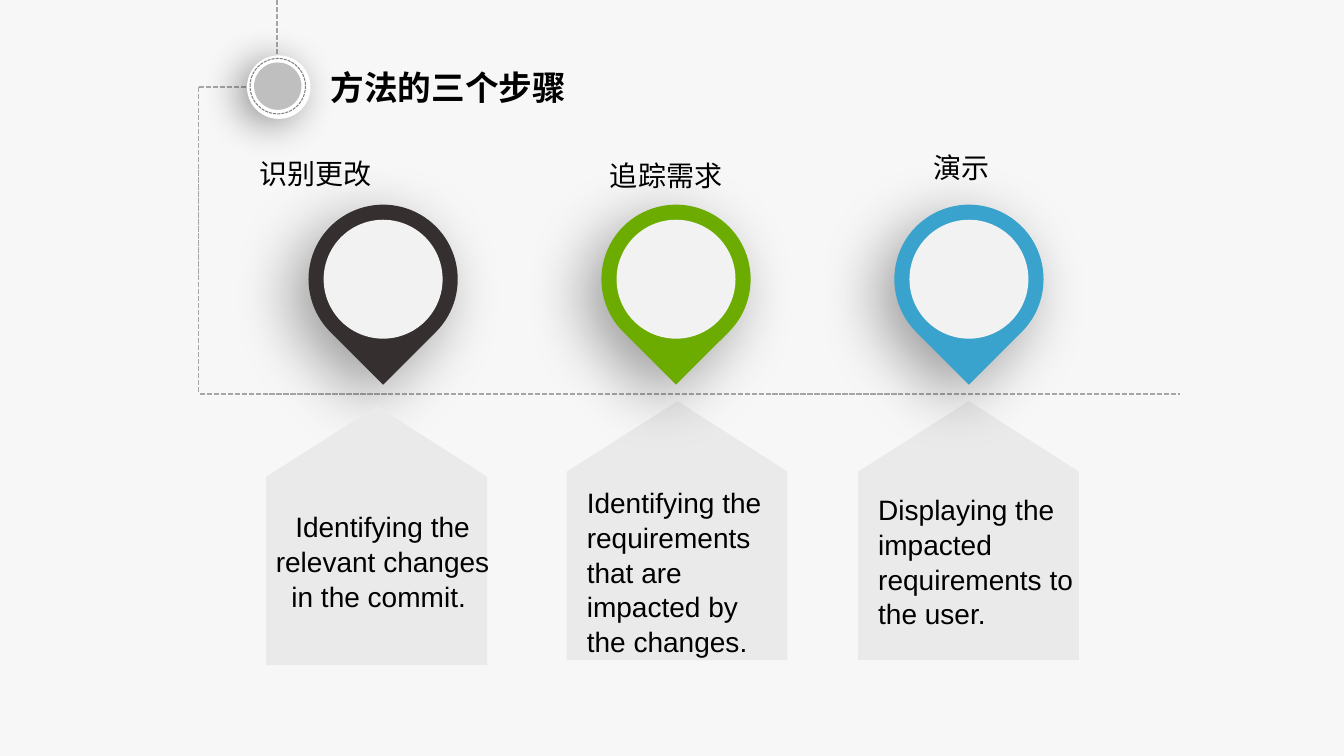
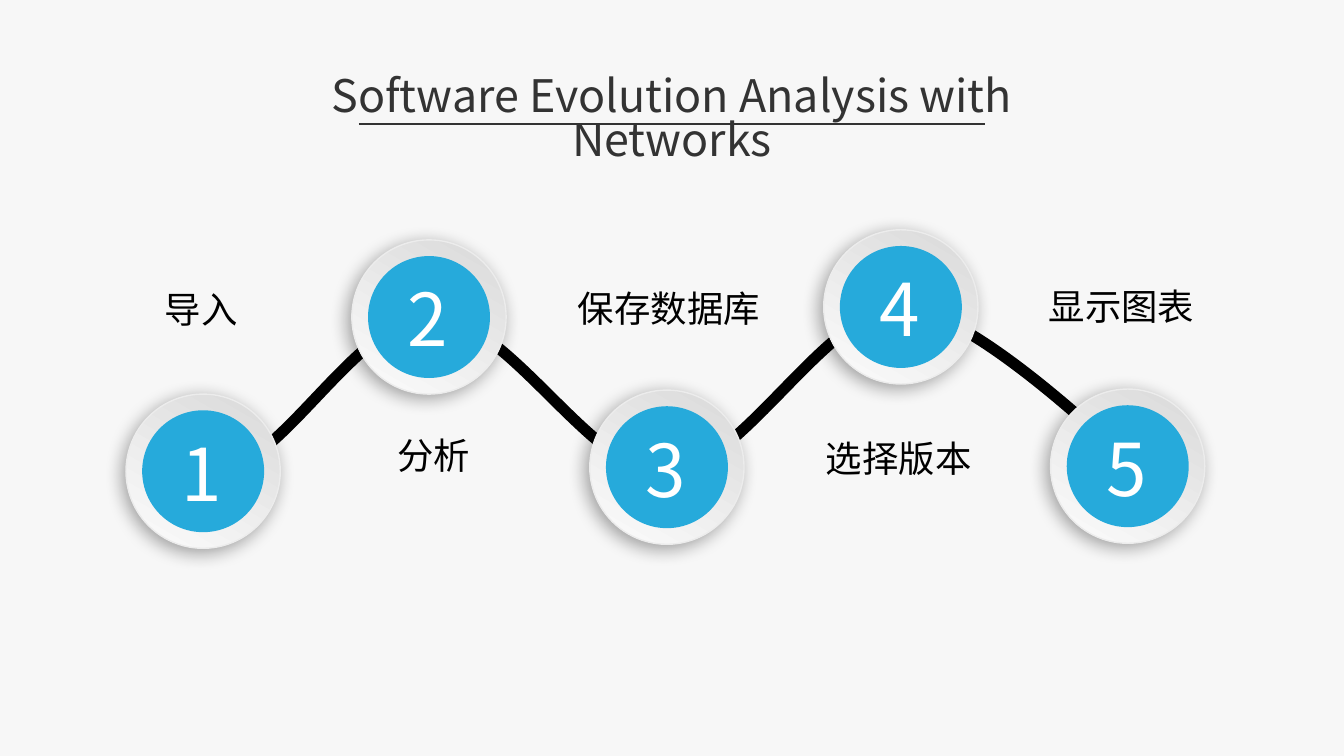
from dataclasses import dataclass

from lxml import etree
from pptx import Presentation
from pptx.dml.color import RGBColor
from pptx.enum.dml import MSO_LINE
from pptx.enum.shapes import MSO_CONNECTOR, MSO_SHAPE
from pptx.enum.text import MSO_ANCHOR, MSO_AUTO_SIZE, PP_ALIGN
from pptx.oxml.ns import qn
from pptx.util import Inches, Pt

OVAL, TEAR = MSO_SHAPE.OVAL, MSO_SHAPE.TEAR
STRAIGHT = MSO_CONNECTOR.STRAIGHT
DASHED = MSO_LINE.SQUARE_DOT
LEFT, CENTER = PP_ALIGN.LEFT, PP_ALIGN.CENTER
TOP, MIDDLE = MSO_ANCHOR.TOP, MSO_ANCHOR.MIDDLE
FIXED_SIZE = MSO_AUTO_SIZE.NONE
TITLE_ONLY = 5


@dataclass(frozen=True)
class Theme:
    page: str = "F7F7F7"
    black: str = "000000"
    white: str = "FFFFFF"
    heading: str = "333333"
    guide: str = "A6A6A6"
    ring: str = "808080"
    knob: str = "BFBFBF"
    window: str = "F2F2F2"
    house: str = "EAEAEA"
    rim: str = "ECECEC"
    rim_dark: str = "D9D9D9"
    rim_light: str = "FCFCFC"
    disc: str = "26AADB"
    latin: str = "Arial"
    cjk: str = "Noto Sans CJK SC"
    body_size: int = 20
    method_title_size: int = 24
    label_size: int = 26
    title_size: int = 32
    number_size: int = 52


THEME = Theme()

# pin colour, label, label box, house corner, text, text box, alignment
STEPS = [
    ("352F2F", "识别更改", (2.52, 1.5, 3.54, 0.44), (2.64, 4.03),
     "Identifying the relevant changes in the commit. ",
     (2.7, 5.04, 2.19, 0.95), CENTER),
    ("6CAC00", "追踪需求", (6, 1.52, 1.22, 0.44), (5.62, 3.98),
     "Identifying the requirements that are impacted by the changes.",
     (5.82, 4.8, 1.92, 1.59), LEFT),
    ("39A3CD", "演示", (9.21, 1.44, 0.66, 0.44), (8.51, 3.98),
     "Displaying the impacted requirements to the user.",
     (8.71, 4.87, 1.98, 1.27), LEFT),
]

# badge corner, label, label corner
STAGES = [
    ((1.25, 3.91), "导入", (0.69, 2.78)),
    ((3.49, 2.38), "分析", (3, 4.23)),
    ((5.85, 3.87), "保存数据库", (5.33, 2.77)),
    ((8.17, 2.28), "选择版本", (7.61, 4.26)),
    ((10.42, 3.86), "显示图表", (9.82, 2.75)),
]

# start point, then two control points and an end point for each curve
WAVE = [
    (2.09, 4.69),
    (2.77, 4.7), (3.53, 3.14), (4.28, 3.14),
    (5.03, 3.14), (5.86, 4.69), (6.59, 4.7),
    (7.34, 4.68), (8.19, 3.06), (8.93, 3.05),
    (9.65, 3.05), (11.21, 4.61), (11.21, 4.59),
]


def rgb(color):
    return RGBColor.from_string(color)


def paint(shape, fill=None, line=None, width=1):
    """Set fill and outline (None means none) and drop the theme shadow."""
    shape.shadow.inherit = False
    if fill:
        shape.fill.solid()
        shape.fill.fore_color.rgb = rgb(fill)
    else:
        shape.fill.background()
    if line:
        shape.line.color.rgb = rgb(line)
        shape.line.width = Pt(width)
    else:
        shape.line.fill.background()


def cast_shadow(shape, alpha, blur, distance, angle):
    effects = shape.element.spPr.find(qn("a:effectLst"))
    outer = etree.SubElement(
        effects, qn("a:outerShdw"), blurRad=str(Pt(blur)), dist=str(Pt(distance)),
        dir=str(angle * 60000), algn="ctr", rotWithShape="0")
    color = etree.SubElement(outer, qn("a:srgbClr"), val=THEME.black)
    etree.SubElement(color, qn("a:alpha"), val=str(alpha * 1000))


def add_circle(shapes, left, top, size, fill=None, line=None, width=1, kind=OVAL):
    circle = shapes.add_shape(kind, *map(Inches, (left, top, size, size)))
    paint(circle, fill, line, width)
    return circle


def add_line(slide, start, end, color, width, dash=None):
    line = slide.shapes.add_connector(STRAIGHT, *map(Inches, (*start, *end)))
    line.line.color.rgb = rgb(color)
    line.line.width = Pt(width)
    if dash:
        line.line.dash_style = dash
    etree.SubElement(line.element.spPr, qn("a:effectLst"))


def write(shape, text, size, color=THEME.black, font=THEME.cjk, bold=False, align=LEFT,
          anchor=TOP, inset=0.05, wrap=True, spacing=None):
    frame = shape.text_frame
    frame.text = text
    frame.auto_size = FIXED_SIZE
    frame.word_wrap = wrap
    frame.vertical_anchor = anchor
    frame.margin_left = frame.margin_right = Inches(inset)
    frame.margin_top = frame.margin_bottom = Inches(inset)
    para = frame.paragraphs[0]
    para.alignment = align
    para.line_spacing = spacing
    span = para.runs[0]
    span.font.size = Pt(size)
    span.font.bold = bold
    span.font.name = font
    span.font.color.rgb = rgb(color)
    etree.SubElement(span.font._element, qn("a:ea"), typeface=THEME.cjk)


def add_text(shapes, place, text, size, **style):
    box = shapes.add_textbox(*map(Inches, place))
    write(box, text, size, **style)


def add_page(deck, title, place, size, **style):
    """Add a slide whose title placeholder is moved to place."""
    slide = deck.slides.add_slide(deck.slide_layouts[TITLE_ONLY])
    heading = slide.shapes.title
    heading.left, heading.top, heading.width, heading.height = map(Inches, place)
    write(heading, title, size, anchor=MIDDLE, **style)
    return slide


def add_outline(slide, points, close):
    start, *rest = [tuple(map(Inches, point)) for point in points]
    builder = slide.shapes.build_freeform(*start)
    builder.add_line_segments(rest, close=close)
    return builder.convert_to_shape()


def add_medallion(slide):
    shapes = slide.shapes.add_group_shape().shapes
    plate = add_circle(shapes, 2.45, 0.55, 0.63, THEME.white)
    cast_shadow(plate, 40, 28, 8, 150)
    add_circle(shapes, 2.52, 0.62, 0.47, THEME.knob)
    ring = add_circle(shapes, 2.48, 0.58, 0.55, line=THEME.ring, width=0.75)
    ring.line.dash_style = DASHED


def add_pin(slide, index, color):
    left, top = 3.06 + 2.905 * index, 2.03
    shapes = slide.shapes.add_group_shape().shapes
    drop = add_circle(shapes, left, top, 1.48, color, kind=TEAR)
    drop.rotation = 135
    cast_shadow(drop, 36, 46, 16, 135)
    add_circle(shapes, left + 0.15, top + 0.15, 1.18, THEME.window)


def add_house(slide, left, top):
    right, eaves, bottom = left + 2.19, top + 0.7, top + 2.57
    house = add_outline(slide, [
        (left, bottom), (left, eaves), (left + 1.1, top), (right, eaves), (right, bottom),
    ], close=True)
    paint(house, THEME.house)


def add_wave(slide):
    """Draw WAVE, turning each three line segments into one Bézier curve."""
    wave = add_outline(slide, WAVE, close=False)
    paint(wave, line=THEME.black, width=8)
    segments = list(wave.element.iter(qn("a:lnTo")))
    for first in range(0, len(segments), 3):
        curve = etree.Element(qn("a:cubicBezTo"))
        segments[first].addprevious(curve)
        for segment in segments[first:first + 3]:
            curve.append(segment[0])
            segment.getparent().remove(segment)


def add_badge(slide, number, left, top):
    shapes = slide.shapes.add_group_shape().shapes
    rim = add_circle(shapes, left, top, 1.53, line=THEME.rim)
    rim.fill.gradient()
    rim.fill.gradient_angle = 240
    for stop, color in zip(rim.fill.gradient_stops, (THEME.rim_dark, THEME.rim_light)):
        stop.color.rgb = rgb(color)
    cast_shadow(rim, 34, 13, 4, 136)
    add_circle(shapes, left + 0.16, top + 0.16, 1.21, THEME.disc)
    add_text(shapes, (left + 0.47, top + 0.27, 0.57, 1.09), str(number),
             THEME.number_size, color=THEME.white, align=CENTER, inset=0.07, wrap=False)


def build_method_page(deck):
    slide = add_page(deck, "方法的三个步骤", (3.23, 0.61, 7.76, 0.5),
                     THEME.method_title_size, font=THEME.latin, bold=True)
    for start, end in [((1.97, 0.86), (2.8, 0.86)), ((2.75, 0), (2.75, 0.83)),
                       ((1.97, 0.86), (1.97, 3.89)), ((1.98, 3.91), (11.7, 3.91))]:
        add_line(slide, start, end, THEME.guide, 1.25, DASHED)
    add_medallion(slide)

    # The first house lies over its pin's shadow, the others lie under theirs.
    pins = [(index, step[0]) for index, step in enumerate(STEPS)]
    add_pin(slide, *pins[0])
    for step in STEPS:
        add_house(slide, *step[3])
    for pin in pins[1:]:
        add_pin(slide, *pin)

    for _, label, label_place, _, text, text_place, align in STEPS:
        add_text(slide.shapes, text_place, text, THEME.body_size, font=THEME.latin,
                 align=align, inset=0, spacing=1.04)
        add_text(slide.shapes, label_place, label, THEME.body_size, wrap=False)


def build_stages_page(deck):
    slide = add_page(deck, "Software Evolution Analysis with Networks",
                     (3.11, 0.55, 7.11, 1.3), THEME.title_size, color=THEME.heading,
                     align=CENTER, inset=0.07, spacing=0.82)
    add_line(slide, (3.56, 1.23), (9.77, 1.23), THEME.heading, 1)
    add_wave(slide)
    for number, (corner, label, label_corner) in enumerate(STAGES, start=1):
        add_badge(slide, number, *corner)
        add_text(slide.shapes, (*label_corner, 2.61, 0.62), label, THEME.label_size,
                 align=CENTER, inset=0.07)


def main():
    deck = Presentation()
    deck.slide_width, deck.slide_height = Inches(13.33), Inches(7.5)
    backdrop = deck.slide_master.background.fill
    backdrop.solid()
    backdrop.fore_color.rgb = rgb(THEME.page)
    build_method_page(deck)
    build_stages_page(deck)
    deck.save("out.pptx")


if __name__ == "__main__":
    main()
